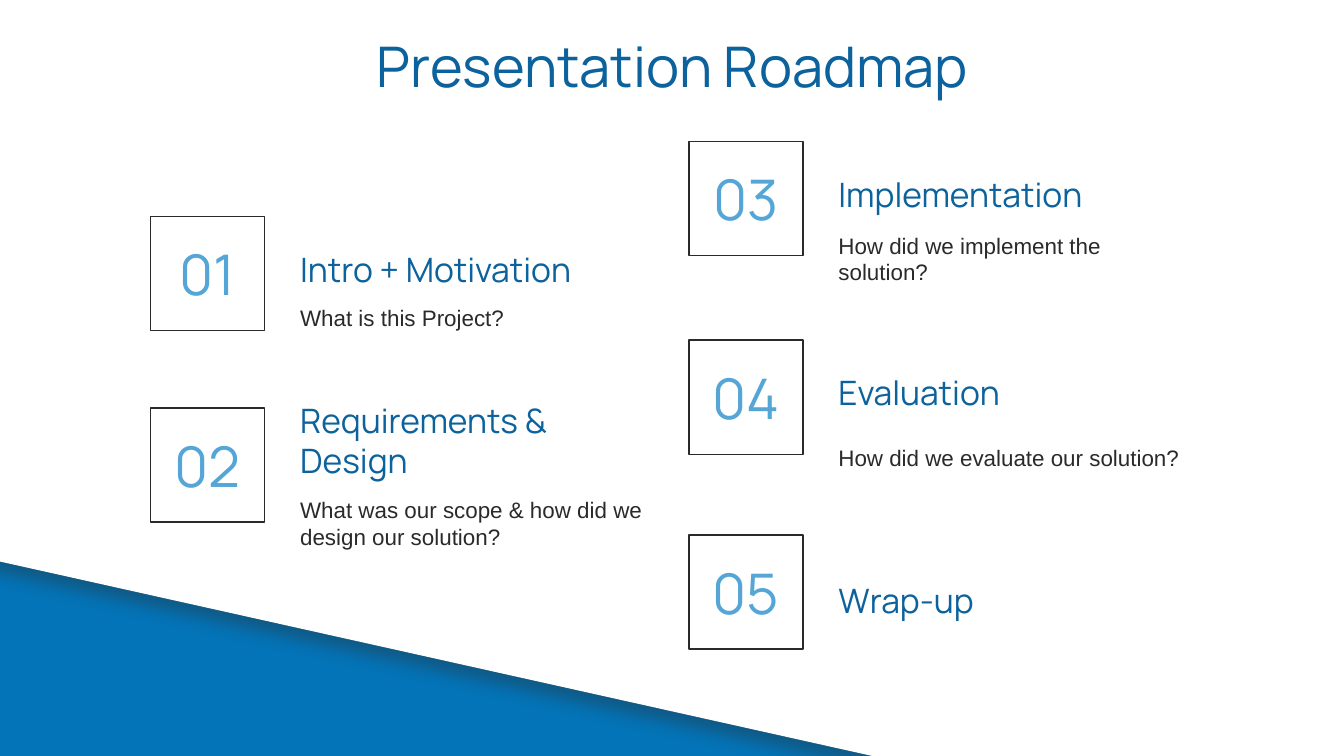
from lxml import etree
from pptx import Presentation, util as u
from pptx.dml.color import RGBColor
from pptx.enum import shapes, text
from pptx.oxml import ns

BLUE = RGBColor(0x03, 0x74, 0xB8)
NAVY = RGBColor(0x0C, 0x62, 0x9C)
SKY = RGBColor(0x55, 0xA6, 0xD7)
INK = RGBColor(0x2A, 0x2A, 0x2A)
WHITE = RGBColor(0xFF, 0xFF, 0xFF)
TOP, MID, LOW = text.MSO_ANCHOR.TOP, text.MSO_ANCHOR.MIDDLE, text.MSO_ANCHOR.BOTTOM
LEFT, MIDST = text.PP_ALIGN.LEFT, text.PP_ALIGN.CENTER

deck = Presentation()
deck.slide_width = u.Inches(10)
deck.slide_height = deck.slide_width * 9 // 16
unit = deck.slide_width / 100
slide = deck.slides.add_slide(deck.slide_layouts[6])
slide.background.fill.solid()
slide.background.fill.fore_color.rgb = BLUE


def span(*marks):
    return [round(mark * unit) for mark in marks]


def write(shape, words, look, anchor=TOP, align=LEFT):
    frame = shape.text_frame
    pad = round(unit)
    form = dict(word_wrap=True, vertical_anchor=anchor, margin_left=pad,
                margin_right=pad, margin_top=pad, margin_bottom=pad)
    for key, value in form.items():
        setattr(frame, key, value)
    line = frame.paragraphs[0]
    line.text, line.alignment = words, align
    name, size, color = look
    font = line.runs[0].font
    for key, value in dict(name=name, size=u.Pt(size)).items():
        setattr(font, key, value)
    font.color.rgb = color


edge = [(100.4, -0.3), (-0.2, -0.2), (-0.4, 41.7), (69.6, 57.3), (100.5, 57.3)]
pen = slide.shapes.build_freeform(*span(*edge[0]), scale=1.0)
pen.add_line_segments([span(*spot) for spot in edge[1:]], close=True)
sheet = pen.convert_to_shape()
sheet.fill.solid()
sheet.fill.fore_color.rgb = WHITE
sheet.line.fill.background()
sheet.shadow.inherit = False
glow = sheet._element.spPr.find(ns.qn("a:effectLst"))
shade = etree.SubElement(glow, ns.qn("a:outerShdw"), blurRad=str(u.Pt(9)),
                         dist=str(u.Pt(12)), dir=str(165 * 60000),
                         algn="bl", rotWithShape="0")
tint = etree.SubElement(shade, ns.qn("a:srgbClr"), val=str(INK))
etree.SubElement(tint, ns.qn("a:alpha"), val="38000")

head = ("Manrope", 18, NAVY)
body = ("Arial", 12, INK)
count = ("Manrope", 30, SKY)

title = slide.shapes.add_textbox(*span(7.9, 1.35, 84.3, 6.3))
write(title, "Presentation Roadmap", ("Manrope", 30, NAVY), align=MIDST)

cols = [11.2, 51.25]
side, wide = 8.5, 28.3
steps = [
    (0, 16.1, -2.1, "Intro + Motivation", "What is this Project?"),
    (0, 30.35, -2.1, "Requirements & Design",
     "What was our scope & how did we design our solution?"),
    (1, 10.52, -2.1, "Implementation", "How did we implement the solution?"),
    (1, 25.3, -2.1, "Evaluation", "How did we evaluate our solution?"),
    (1, 39.8, -1.15, "Wrap-up", ""),
]
for rank, (col, row, lift, topic, query) in enumerate(steps, 1):
    x = cols[col]
    box = slide.shapes.add_shape(shapes.MSO_SHAPE.RECTANGLE, *span(x, row, side, side))
    box.shadow.inherit = False
    box.fill.background()
    box.line.color.rgb = INK
    box.line.width = u.Pt(0.75)
    write(box, f"{rank:02}", count, MID, MIDST)
    label = slide.shapes.add_textbox(*span(x + 10.15, row + lift, wide, side))
    write(label, topic, head, LOW)
    if query:
        note = slide.shapes.add_textbox(*span(x + 10.15, row + 5.57, wide, 6.3))
        write(note, query, body, MID if col else TOP)

deck.save("out.pptx")
